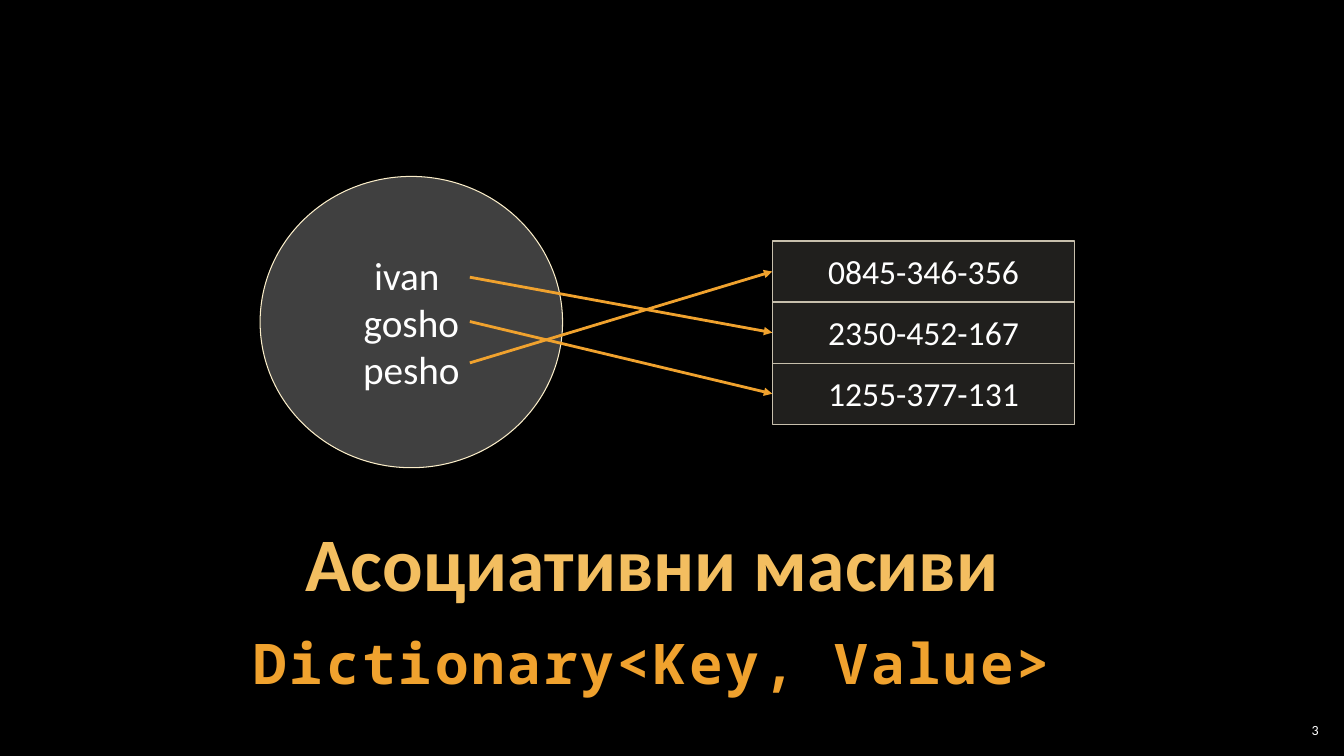
from dataclasses import dataclass

from lxml import etree
from pptx import Presentation
from pptx.dml.color import RGBColor
from pptx.enum.shapes import MSO_CONNECTOR as Connector, MSO_SHAPE as Shape
from pptx.enum.text import MSO_ANCHOR as Anchor, PP_ALIGN as Align
from pptx.oxml.ns import qn
from pptx.util import Inches, Pt


@dataclass(frozen=True)
class Theme:
    background: str = "000000"
    text: str = "FFFFFF"
    title: str = "F3BE60"
    accent: str = "F0A22E"
    circle_fill: str = "808080"
    circle_line: str = "FBEEC9"
    row_fill: str = "D9D5C7"
    row_line: str = "C7BFAC"
    body_font: str = "Calibri"
    code_font: str = "Noto Sans Mono"
    title_size: int = 54
    code_size: int = 40
    key_size: int = 28
    value_size: int = 24
    number_size: int = 10


@dataclass(frozen=True)
class Box:
    left: float
    top: float
    width: float
    height: float

    def lengths(self):
        return [Inches(n) for n in (self.left, self.top, self.width, self.height)]


THEME = Theme()
KEYS = ["ivan ", "gosho", "pesho"]
VALUES = ["0845-346-356", "2350-452-167", "1255-377-131"]
KEY_OFFSETS = [1, 1.44, 1.85]
ROW_OF_KEY = [1, 2, 0]


def apply(target, formats):
    for name, value in formats.items():
        setattr(target, name, value)


def write(shape, lines, size, color=THEME.text, font=THEME.body_font, bold=False,
          align=Align.CENTER, anchor=Anchor.TOP, insets=(0.04, 0.04), spacing=None, tracking=0):
    side, edge = (Inches(n) for n in insets)
    frame = shape.text_frame
    apply(frame, {"word_wrap": True, "vertical_anchor": anchor, "margin_left": side,
                  "margin_right": side, "margin_top": edge, "margin_bottom": edge})
    for index, line in enumerate(lines):
        para = frame.add_paragraph() if index else frame.paragraphs[0]
        apply(para, {"alignment": align, **(spacing or {})})
        span = para.add_run()
        span.text = line
        apply(span.font, {"name": font, "size": Pt(size), "bold": bold})
        span.font.color.rgb = RGBColor.from_string(color)
        if tracking:
            span.font._element.set("spc", str(tracking * 100))


def add_label(page, box, line, size, **formats):
    write(page.shapes.add_textbox(*box.lengths()), [line], size, **formats)


def add_panel(page, kind, box, fill, opacity, line, weight):
    shape = page.shapes.add_shape(kind, *box.lengths())
    shape.shadow.inherit = False
    shape.fill.solid()
    shape.fill.fore_color.rgb = RGBColor.from_string(fill)
    tint = shape._element.spPr.find(qn("a:solidFill"))[0]
    etree.SubElement(tint, qn("a:alpha"), val=str(opacity * 1000))
    shape.line.color.rgb = RGBColor.from_string(line)
    shape.line.width = Pt(weight)
    return shape


def add_keys(page, box):
    circle = add_panel(page, Shape.OVAL, box, THEME.circle_fill, 50, THEME.circle_line, 0.75)
    write(circle, KEYS, THEME.key_size, anchor=Anchor.MIDDLE, insets=(0.1, 0.05))


def add_values(page, box):
    height = box.height / len(VALUES)
    for index, value in enumerate(VALUES):
        cell = Box(box.left, box.top + index * height, box.width, height)
        row = add_panel(page, Shape.RECTANGLE, cell, THEME.row_fill, 15, THEME.row_line, 1)
        write(row, [value], THEME.value_size, insets=(0.2, 0.1))


def add_arrows(page, keys, values):
    height = values.height / len(VALUES)
    for offset, row in zip(KEY_OFFSETS, ROW_OF_KEY):
        ends = (keys.left + 2.08, keys.top + offset, values.left, values.top + (row + 0.5) * height)
        arrow = page.shapes.add_connector(Connector.STRAIGHT, *(Inches(n) for n in ends))
        arrow.line.color.rgb = RGBColor.from_string(THEME.accent)
        arrow.line.width = Pt(2)
        etree.SubElement(arrow.line._get_or_add_ln(), qn("a:tailEnd"), type="triangle")
        etree.SubElement(arrow._element.spPr, qn("a:effectLst"))


def add_heading(page, box):
    add_label(page, Box(box.left, box.top, box.width, 0.85), "Асоциативни масиви",
              THEME.title_size, color=THEME.title, bold=True, anchor=Anchor.BOTTOM,
              spacing={"line_spacing": Pt(THEME.title_size)})
    add_label(page, Box(box.left, box.top + 0.95, box.width, 0.75), "Dictionary<Key, Value>",
              THEME.code_size, color=THEME.accent, font=THEME.code_font, bold=True,
              spacing={"line_spacing": 1.05, "space_after": Pt(6)}, tracking=2)


def main():
    deck = Presentation()
    apply(deck, {"slide_width": Inches(13.33), "slide_height": Inches(7.5)})
    page = deck.slides.add_slide(deck.slide_layouts[6])
    page.background.fill.solid()
    page.background.fill.fore_color.rgb = RGBColor.from_string(THEME.background)
    keys = Box(2.58, 1.75, 3, 2.89)
    values = Box(7.66, 2.39, 3, 1.82)
    add_heading(page, Box(1.58, 5.21, 9.78, 1.7))
    add_keys(page, keys)
    add_arrows(page, keys, values)
    add_values(page, values)
    add_label(page, Box(12.65, 7.14, 0.47, 0.21), "3", THEME.number_size,
              align=Align.RIGHT, anchor=Anchor.MIDDLE)
    deck.save("out.pptx")


if __name__ == "__main__":
    main()
